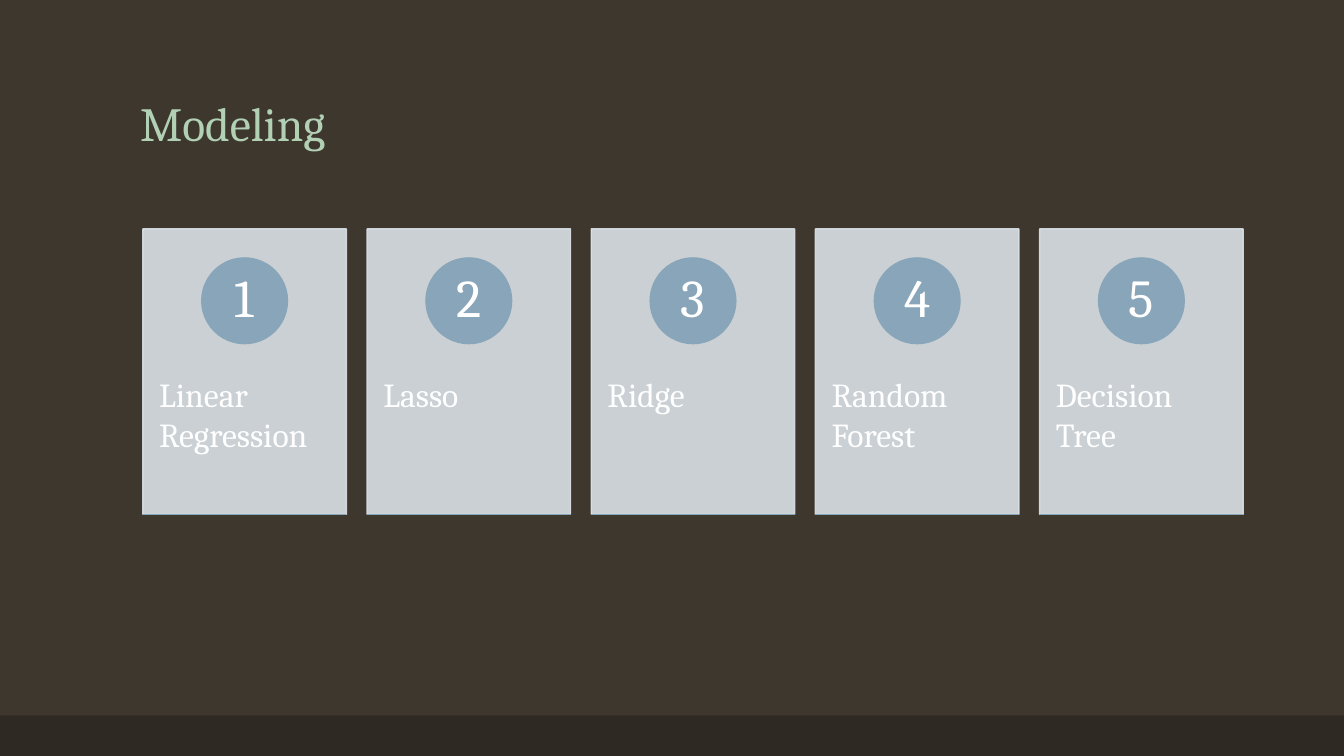
from dataclasses import dataclass

from lxml.etree import SubElement
from pptx import Presentation
from pptx.dml.color import RGBColor
from pptx.enum.shapes import MSO_CONNECTOR, MSO_SHAPE
from pptx.enum.text import MSO_ANCHOR, MSO_AUTO_SIZE, PP_ALIGN
from pptx.oxml.ns import qn
from pptx.shapes.autoshape import Shape
from pptx.slide import Slide
from pptx.text.text import TextFrame
from pptx.util import Cm, Pt


@dataclass(frozen=True)
class Theme:
    font: str = "Cambria"
    back: str = "3D372E"
    band: str = "2E2923"
    title: str = "B2D0B4"
    panel: str = "DAE1E7"
    accent: str = "88A5BA"
    text: str = "FFFFFF"
    head_size: int = 34
    num_size: int = 38
    name_size: int = 24


@dataclass(frozen=True)
class Box:
    left: float
    top: float
    width: float
    height: float

    def place(self) -> tuple[Cm, Cm, Cm, Cm]:
        return Cm(self.left), Cm(self.top), Cm(self.width), Cm(self.height)


@dataclass(frozen=True)
class Card:
    num: int
    name: str
    left: float


THEME = Theme()
WIDE, HIGH = 33.87, 19.05
LEFT, TOP, STEP = 3.6, 5.77, 5.65
CARD_W, CARD_H = 5.13, 7.19
DISC, NUM_BOX, DISC_TOP = 2.16, 1.52, 6.5
MODELS = ("Linear Regression", "Lasso", "Ridge", "Random Forest", "Decision Tree")

# Text frame and paragraph formats
HEAD_FRAME = {"vertical_anchor": MSO_ANCHOR.BOTTOM}
NAME_FRAME = {
    "vertical_anchor": MSO_ANCHOR.TOP,
    "margin_left": Cm(0.41), "margin_right": Cm(0.41),
    "margin_top": Cm(0.91), "margin_bottom": Cm(0.91),
}
NUM_FRAME = {
    "vertical_anchor": MSO_ANCHOR.MIDDLE,
    "margin_left": Cm(0.18), "margin_right": Cm(0.18),
    "margin_top": Cm(0.03), "margin_bottom": Cm(0.03),
}
HEAD_PARA = {"alignment": PP_ALIGN.LEFT, "line_spacing": 0.9}
NAME_PARA = {"alignment": PP_ALIGN.LEFT}
NUM_PARA = {"alignment": PP_ALIGN.CENTER, "line_spacing": 0.9}


def apply(target: object, values: dict) -> None:
    for key, value in values.items():
        setattr(target, key, value)


def write(frame: TextFrame, text: str, size: int, color: str,
          layout: dict, style: dict) -> None:
    frame.text = text
    apply(frame, {"word_wrap": True, "auto_size": MSO_AUTO_SIZE.NONE, **layout})
    para = frame.paragraphs[0]
    apply(para, style)
    font = para.runs[0].font
    apply(font, {"name": THEME.font, "size": Pt(size)})
    font.color.rgb = RGBColor.from_string(color)


def add_form(slide: Slide, kind: MSO_SHAPE, box: Box, color: str,
             alpha: int = 100, edge: bool = True) -> Shape:
    form = slide.shapes.add_shape(kind, *box.place())
    form.shadow.inherit = False
    form.fill.solid()
    form.fill.fore_color.rgb = RGBColor.from_string(color)
    if edge:
        form.line.color.rgb = RGBColor.from_string(color)
        form.line.width = Pt(1)
    else:
        form.line.fill.background()
    if alpha < 100:
        for tint in form._element.spPr.iter(qn("a:srgbClr")):
            SubElement(tint, qn("a:alpha"), val=str(alpha * 1000))
    return form


def add_text(slide: Slide, box: Box, text: str, size: int,
             layout: dict, style: dict) -> None:
    frame = slide.shapes.add_textbox(*box.place()).text_frame
    write(frame, text, size, THEME.text, layout, style)


def add_rule(slide: Slide, left: float, top: float, width: float) -> None:
    rule = slide.shapes.add_connector(
        MSO_CONNECTOR.STRAIGHT, Cm(left), Cm(top), Cm(left + width), Cm(top))
    rule.line.color.rgb = RGBColor.from_string(THEME.accent)
    rule.line.width = Pt(1)
    SubElement(rule._element.spPr, qn("a:effectLst"))


def add_card(slide: Slide, card: Card) -> None:
    # Panel and model name
    panel = Box(card.left, TOP, CARD_W, CARD_H)
    add_form(slide, MSO_SHAPE.RECTANGLE, panel, THEME.panel, alpha=90)
    add_text(slide, Box(card.left, 8.51, CARD_W, 4.32), card.name,
             THEME.name_size, NAME_FRAME, NAME_PARA)

    # Numbered disc
    disc = Box(card.left + (CARD_W - DISC) / 2, DISC_TOP, DISC, DISC)
    add_form(slide, MSO_SHAPE.OVAL, disc, THEME.accent)
    inset = (DISC - NUM_BOX) / 2
    label = Box(disc.left + inset, disc.top + inset, NUM_BOX, NUM_BOX)
    add_text(slide, label, str(card.num), THEME.num_size, NUM_FRAME, NUM_PARA)

    # Bottom rule
    add_rule(slide, card.left, TOP + CARD_H, CARD_W)


def main() -> None:
    deck = Presentation()
    apply(deck, {"slide_width": Cm(WIDE), "slide_height": Cm(HIGH)})
    slide = deck.slides.add_slide(deck.slide_layouts.get_by_name("Title Only"))

    # Background and bottom band
    slide.background.fill.solid()
    slide.background.fill.fore_color.rgb = RGBColor.from_string(THEME.back)
    add_form(slide, MSO_SHAPE.RECTANGLE, Box(0, 18.03, WIDE, 1.02),
             THEME.band, edge=False)

    # Title
    title = slide.shapes.title
    spot = Box(3.28, 0.89, 27.31, 3.07).place()
    apply(title, dict(zip(("left", "top", "width", "height"), spot)))
    write(title.text_frame, "Modeling", THEME.head_size, THEME.title,
          HEAD_FRAME, HEAD_PARA)

    # Model cards
    for i, name in enumerate(MODELS):
        add_card(slide, Card(i + 1, name, LEFT + i * STEP))

    deck.save("out.pptx")


if __name__ == "__main__":
    main()
